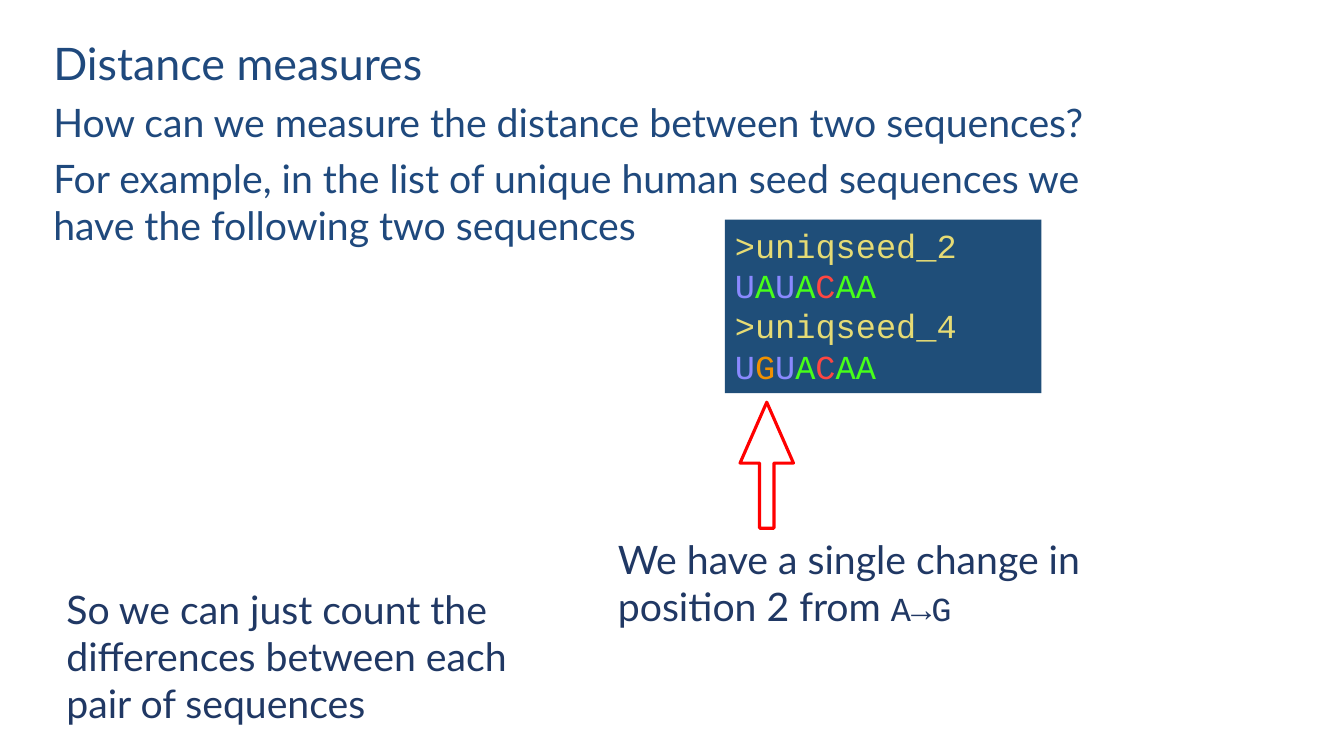
from pptx import Presentation
from pptx.dml.color import RGBColor
from pptx.enum.shapes import MSO_SHAPE
from pptx.enum.text import MSO_ANCHOR, PP_ALIGN
from pptx.util import Inches, Pt

RECTANGLE = MSO_SHAPE.RECTANGLE
UP_ARROW = MSO_SHAPE.UP_ARROW
TOP = MSO_ANCHOR.TOP
LEFT = PP_ALIGN.LEFT

BODY_FONT = "Lato"
CODE_FONT = "Courier New"
COLOURS = {
    "heading": "1F497D",
    "note": "203864",
    "panel": "1F4E79",
    "header": "E6DB74",
    "arrow": "FF0000",
}
BASE_COLOURS = {"U": "8A89FF", "A": "47FF19", "C": "FF4641", "G": "F09000"}
SEQUENCES = {">uniqseed_2": "UAUACAA", ">uniqseed_4": "UGUACAA"}


def colour(code):
    return RGBColor.from_string(code)


def add_span(para, text, size, code, font=BODY_FONT):
    span = para.add_run()
    span.text = text
    span.font.size = Pt(size)
    span.font.name = font
    span.font.color.rgb = colour(code)


def next_para(frame, first):
    para = frame.paragraphs[0] if first else frame.add_paragraph()
    para.alignment = LEFT
    return para


def add_text_frame(page, box):
    """Add a wrapping text box and return its frame."""
    frame = page.shapes.add_textbox(*map(Inches, box)).text_frame
    frame.word_wrap = True
    return frame


def add_plain_shape(page, kind, box):
    shape = page.shapes.add_shape(kind, *map(Inches, box))
    shape.shadow.inherit = False
    return shape


def add_introduction(page, box):
    lines = [
        ("Distance measures", 32),
        ("How can we measure the distance between two sequences?", 28),
        ("For example, in the list of unique human seed sequences "
         "we have the following two sequences", 28),
    ]
    frame = add_text_frame(page, box)
    for index, (text, size) in enumerate(lines):
        para = next_para(frame, index == 0)
        para.space_after = Pt(6)
        add_span(para, text, size, COLOURS["heading"])


def add_sequence_panel(page, box):
    """Show each sequence under its header, one colour per base."""
    panel = add_plain_shape(page, RECTANGLE, box)
    panel.fill.solid()
    panel.fill.fore_color.rgb = colour(COLOURS["panel"])
    panel.line.fill.background()
    frame = panel.text_frame
    frame.word_wrap = True
    frame.vertical_anchor = TOP
    for index, (header, sequence) in enumerate(SEQUENCES.items()):
        para = next_para(frame, index == 0)
        add_span(para, header, 24, COLOURS["header"], CODE_FONT)
        para = next_para(frame, False)
        for base in sequence:
            add_span(para, base, 24, BASE_COLOURS[base], CODE_FONT)


def add_change_arrow(page, box):
    arrow = add_plain_shape(page, UP_ARROW, box)
    arrow.adjustments[0] = 0.27
    arrow.adjustments[1] = 1.14
    arrow.fill.background()
    arrow.line.color.rgb = colour(COLOURS["arrow"])
    arrow.line.width = Pt(2.25)


def add_note(page, box, text, code=""):
    """Place a remark, with an optional ending in the code font."""
    para = next_para(add_text_frame(page, box), True)
    add_span(para, text, 28, COLOURS["note"])
    if code:
        add_span(para, code, 24, COLOURS["note"], CODE_FONT)


def main():
    deck = Presentation()
    deck.slide_width = Inches(13.33)
    deck.slide_height = Inches(7.5)
    page = deck.slides.add_slide(deck.slide_layouts[6])
    add_introduction(page, (0.43, 0.31, 11.02, 2.22))
    add_sequence_panel(page, (7.19, 2.18, 3.14, 1.72))
    add_change_arrow(page, (7.34, 3.99, 0.53, 1.25))
    add_note(page, (6.03, 5.26, 4.81, 1.04),
             "We have a single change in position 2 from ", "A→G")
    add_note(page, (0.56, 5.76, 4.81, 1.51),
             "So we can just count the differences between each pair of sequences")
    deck.save("out.pptx")


if __name__ == "__main__":
    main()
